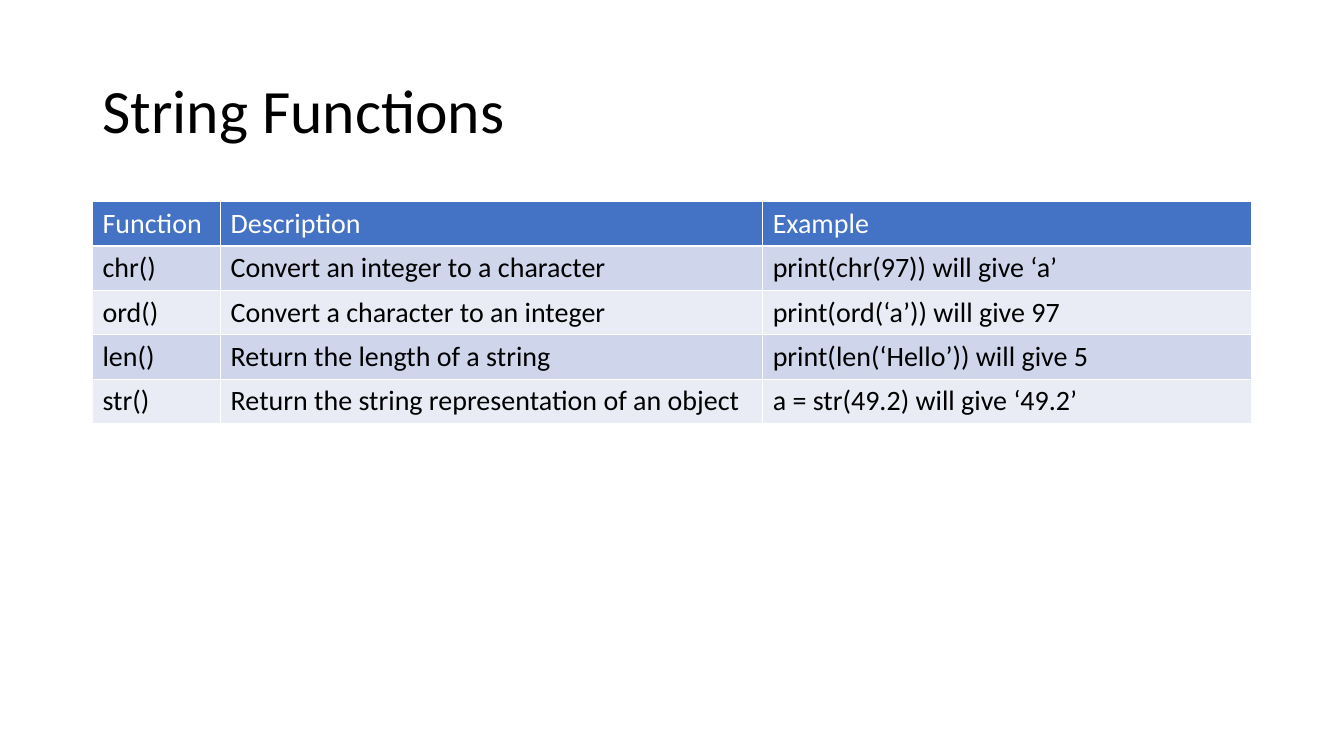
from dataclasses import dataclass

from pptx import Presentation
from pptx import util as u
from pptx.dml import color
from pptx.enum import text


@dataclass
class Theme:
    font: str = "Calibri"
    title_size: int = 44
    table_size: int = 20
    dark: str = "000000"
    light: str = "FFFFFF"
    header: str = "4472C4"
    bands: tuple = ("CFD5EA", "E9EBF5")


theme = Theme()


def write(tf, content, size, fill, spacing=1.0):
    p = tf.paragraphs[0]
    p.alignment = text.PP_ALIGN.LEFT
    p.line_spacing = spacing
    r = p.add_run()
    r.text = content
    r.font.name = theme.font
    r.font.size = u.Pt(size)
    r.font.bold = False
    r.font.color.rgb = color.RGBColor.from_string(fill)


prs = Presentation()
prs.slide_width, prs.slide_height = u.Cm(33.87), u.Cm(19.05)
s = prs.slides.add_slide(prs.slide_layouts[5])

left, width = u.Cm(2.33), u.Cm(29.21)
title = s.shapes.title
title.left, title.top, title.width, title.height = left, u.Cm(1.01), width, u.Cm(3.68)
title.text_frame.vertical_anchor = text.MSO_ANCHOR.MIDDLE
write(title.text_frame, "String Functions", size=theme.title_size, fill=theme.dark, spacing=0.9)

rows = [
    ("Function", "Description", "Example"),
    ("chr()", "Convert an integer to a character", "print(chr(97)) will give ‘a’"),
    ("ord()", "Convert a character to an integer", "print(ord(‘a’)) will give 97"),
    ("len()", "Return the length of a string", "print(len(‘Hello’)) will give 5"),
    ("str()", "Return the string representation of an object", "a = str(49.2) will give ‘49.2’"),
]
column_widths = (3.23, 13.66, 12.32)
row_height = u.Cm(1.1)

table = s.shapes.add_table(
    len(rows), len(column_widths), left, u.Cm(5.08), width, row_height * len(rows)
).table
for column, column_width in zip(table.columns, column_widths):
    column.width = u.Cm(column_width)

for i, row in enumerate(rows):
    table.rows[i].height = row_height
    background = theme.bands[(i - 1) % 2] if i else theme.header
    foreground = theme.dark if i else theme.light
    for j, content in enumerate(row):
        cell = table.cell(i, j)
        cell.fill.solid()
        cell.fill.fore_color.rgb = color.RGBColor.from_string(background)
        write(cell.text_frame, content, size=theme.table_size, fill=foreground)

prs.save("out.pptx")
